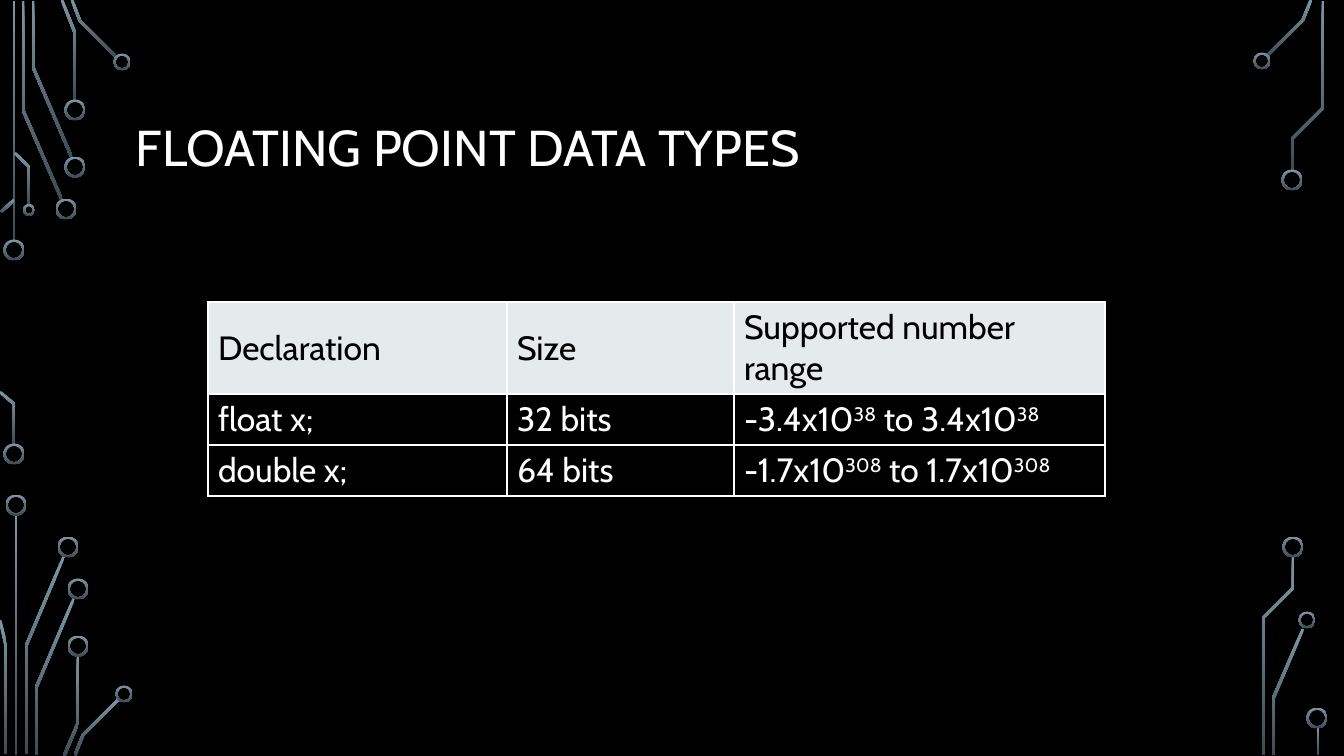
from lxml import etree
from pptx import Presentation
from pptx.dml.color import RGBColor
from pptx.enum.shapes import MSO_SHAPE
from pptx.enum.text import MSO_ANCHOR
from pptx.oxml.ns import qn
from pptx.util import Pt

PX = 914400 / 100.8
DONUT = MSO_SHAPE.DONUT
MIDDLE = MSO_ANCHOR.MIDDLE
FONT = "Cabin"
COLORS = {"back": "000000", "text": "FFFFFF", "head": "E5EAED",
          "ink": "000000", "light": "7C96A3", "dark": "3B4C54"}
TITLE = {"name": FONT, "size": Pt(36)}
BODY = {"name": FONT, "size": Pt(24), "bold": False}
STROKE, RIM = 2.8, 2

# Centre lines of the traces and centres of the rings by diameter
LEFT = {
    "traces": [
        [(14, 1), (14, 242)],
        [(23, 1), (23, 110), (62, 200)],
        [(33, 1), (33, 67), (72, 158)],
        [(62, 0), (75, 33), (75, 101)],
        [(72, 0), (80, 21), (116, 57)],
        [(1, 212), (14, 200)],
        [(0, 392), (14, 404), (14, 445)],
        [(15, 153), (29, 167), (29, 205)],
        [(16, 514), (16, 755)],
        [(64, 556), (26, 646), (26, 754)],
        [(0, 620), (6, 646), (6, 754)],
        [(74, 598), (36, 688), (36, 755)],
        [(78, 655), (78, 723), (64, 756)],
        [(119, 699), (83, 735), (75, 755)],
    ],
    "rings": {
        21: [(14, 250), (14, 454), (66, 209), (75, 167), (75, 110),
             (16, 505), (68, 547), (78, 589), (78, 646)],
        17: [(122, 62), (124, 694)],
        12: [(29, 210)],
    },
}
RIGHT = {
    "traces": [
        [(23, 56), (59, 20), (67, 0)],
        [(79, 1), (79, 108), (48, 139), (48, 170)],
        [(49, 556), (49, 588), (19, 618), (19, 755)],
        [(59, 629), (29, 699), (29, 755)],
        [(74, 727), (74, 755)],
    ],
    "rings": {
        21: [(48, 180), (49, 547), (73, 718)],
        17: [(18, 61), (63, 620)],
    },
}

# Text between carets is raised
ROWS = [
    ["Declaration", "Size", "Supported number range"],
    ["float x;", "32 bits", "-3.4x10^38^ to 3.4x10^38^"],
    ["double x;", "64 bits", "-1.7x10^308^ to 1.7x10^308^"],
]
WIDTHS, HEIGHTS = [299, 227, 371], [92, 51, 51]


def px(*values):
    return [round(value * PX) for value in values]


def rgb(name):
    return RGBColor.from_string(COLORS[name])


def style(run, form, color):
    for key, value in form.items():
        setattr(run.font, key, value)
    run.font.color.rgb = rgb(color)


def shade(shape):
    """Fill from light at the top to dark at the bottom."""
    shape.shadow.inherit = False
    shape.line.fill.background()
    shape.fill.gradient()
    shape.fill.gradient_angle = 270
    for stop, name in zip(shape.fill.gradient_stops, ("light", "dark")):
        stop.color.rgb = rgb(name)
    for stop, place in zip(shape.fill.gradient_stops, (0, 1)):
        stop.position = place


def outline(points):
    """Widen a centre line into a closed band with mitred bends."""
    line = [complex(*point) for point in points]
    norms = [1j * (b - a) / abs(b - a) for a, b in zip(line, line[1:])]
    sides = []
    for a, b in zip(norms[:1] + norms, norms + norms[-1:]):
        sides.append((a + b) / (1 + (a * b.conjugate()).real) * STROKE / 2)
    near = [p + s for p, s in zip(line, sides)]
    far = [p - s for p, s in zip(line, sides)]
    return near + far[::-1]


def circuit(slide, left, top, parts):
    for trace in parts["traces"]:
        band = [px(left + p.real, top + p.imag) for p in outline(trace)]
        pen = slide.shapes.build_freeform(*band[0])
        pen.add_line_segments(band[1:], close=True)
        shade(pen.convert_to_shape())
    for size, spots in parts["rings"].items():
        for x, y in spots:
            box = px(left + x - size / 2, top + y - size / 2, size, size)
            ring = slide.shapes.add_shape(DONUT, *box)
            ring.adjustments[0] = RIM / size
            shade(ring)


def title(slide, text, box):
    frame = slide.shapes.add_textbox(*px(*box)).text_frame
    frame.word_wrap = True
    frame.vertical_anchor = MIDDLE
    para = frame.paragraphs[0]
    para.line_spacing = 0.9
    run = para.add_run()
    run.text = text
    style(run, TITLE, "text")


def border(cell):
    props = cell._tc.get_or_add_tcPr()
    for spot, side in enumerate(("lnL", "lnR", "lnT", "lnB")):
        line = etree.Element(qn("a:" + side), w=str(Pt(1)))
        fill = etree.SubElement(line, qn("a:solidFill"))
        etree.SubElement(fill, qn("a:srgbClr"), val=COLORS["text"])
        props.insert(spot, line)


def write(cell, text, color):
    cell.vertical_anchor = MIDDLE
    para = cell.text_frame.paragraphs[0]
    for index, part in enumerate(text.split("^")):
        if not part:
            continue
        run = para.add_run()
        run.text = part
        style(run, BODY, color)
        if index % 2:
            run._r.get_or_add_rPr().set("baseline", "30000")


def table(slide, left, top):
    box = px(left, top, sum(WIDTHS), sum(HEIGHTS))
    grid = slide.shapes.add_table(len(ROWS), len(WIDTHS), *box).table
    grid.first_row = grid.horz_banding = False
    for col, width in zip(grid.columns, px(*WIDTHS)):
        col.width = width
    for row, height, texts in zip(grid.rows, px(*HEIGHTS), ROWS):
        row.height = height
        head = texts is ROWS[0]
        for cell, text in zip(row.cells, texts):
            write(cell, text, "ink" if head else "text")
            if head:
                cell.fill.solid()
                cell.fill.fore_color.rgb = rgb("head")
            else:
                cell.fill.background()
            border(cell)


def main():
    deck = Presentation()
    deck.slide_width, deck.slide_height = px(1344, 756)
    slide = deck.slides.add_slide(deck.slide_layouts[6])
    slide.background.fill.solid()
    slide.background.fill.fore_color.rgb = rgb("back")
    circuit(slide, 0, 0, LEFT)
    circuit(slide, 1244, 0, RIGHT)
    title(slide, "FLOATING POINT DATA TYPES", (126, 69, 1092, 163))
    table(slide, 208, 302)
    deck.save("out.pptx")


if __name__ == "__main__":
    main()
